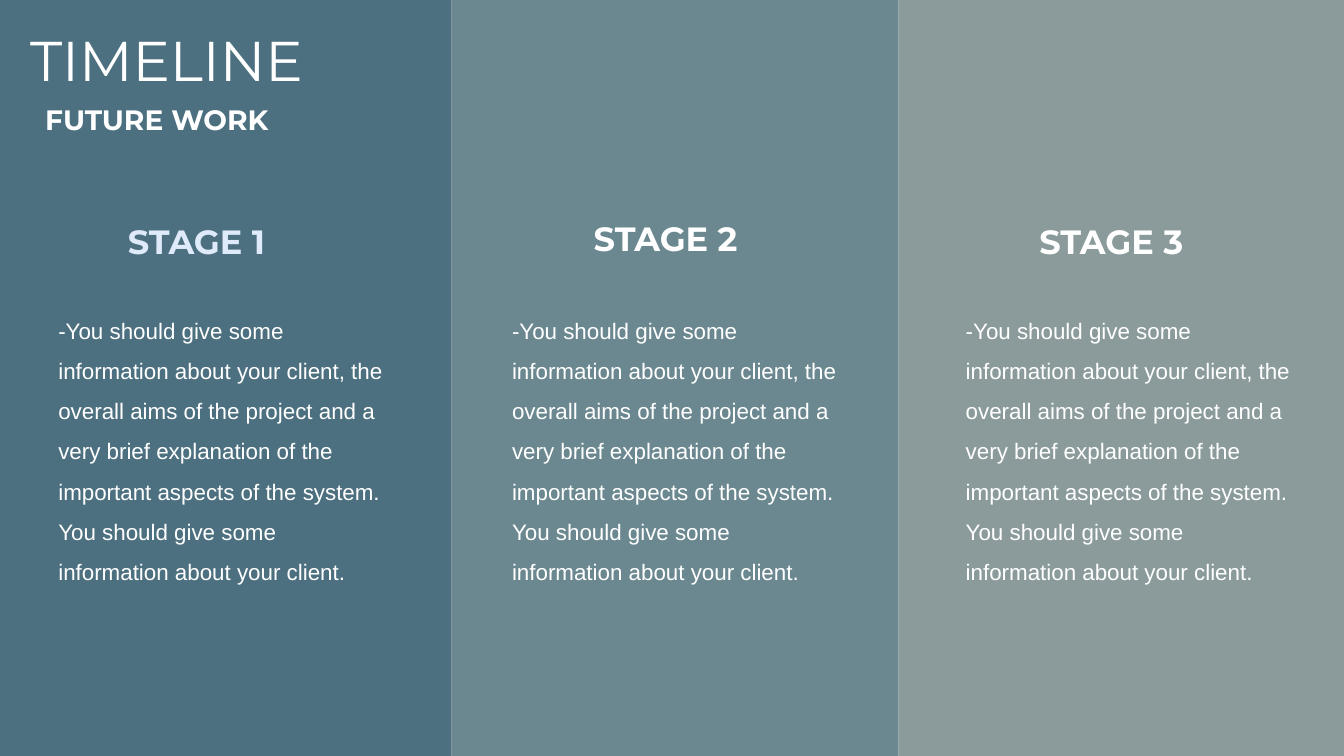
"""Build the timeline slide: three stage columns under a heading."""
import pptx
import pptx.dml.color
import pptx.enum.shapes
import pptx.enum.text
import pptx.oxml
import pptx.oxml.ns
import pptx.util

Inches = pptx.util.Inches
WIDTH, HEIGHT = 13.33, 7.5
WHITE = "FFFFFF"
BODY_STEP = 4.5
ADVICE = (
    "-You should give some information about your client, the overall aims of "
    "the project and a very brief explanation of the important aspects of the "
    "system. You should give some information about your client."
)


def paint(color_format, hex_color):
    color_format.rgb = pptx.dml.color.RGBColor.from_string(hex_color)


def write(text, left, top, width, height, size, font="Montserrat", bold=False,
          color=WHITE, spacing=None):
    frame = slide.shapes.add_textbox(
        Inches(left), Inches(top), Inches(width), Inches(height)).text_frame
    frame.word_wrap = True
    frame.auto_size = pptx.enum.text.MSO_AUTO_SIZE.SHAPE_TO_FIT_TEXT
    frame.text = text
    paragraph = frame.paragraphs[0]
    paragraph.line_spacing = spacing
    run = paragraph.runs[0]
    run.font.name = font
    run.font.size = pptx.util.Pt(size)
    run.font.bold = bold
    paint(run.font.color, color)


deck = pptx.Presentation()
deck.slide_width, deck.slide_height = Inches(WIDTH), Inches(HEIGHT)
slide = deck.slides.add_slide(deck.slide_layouts[6])

edges = [0, 4.48, 8.91, WIDTH]
stages = [
    ("STAGE 1", "4C707F", 100, "DFEAFA", 1.17, 2.14),
    ("STAGE 2", "6B8890", 100, WHITE, 5.79, 2.11),
    ("STAGE 3", "718484", 81, WHITE, 10.21, 2.14),
]

for index, (stage, fill, opacity, color, left, top) in enumerate(stages):
    column = slide.shapes.add_shape(
        pptx.enum.shapes.MSO_SHAPE.RECTANGLE, Inches(edges[index]), 0,
        Inches(edges[index + 1] - edges[index]), Inches(HEIGHT))
    column.shadow.inherit = False
    column.line.fill.background()
    column.fill.solid()
    paint(column.fill.fore_color, fill)
    if opacity < 100:
        fill_color = column.fill._xPr.find(".//" + pptx.oxml.ns.qn("a:srgbClr"))
        alpha = pptx.oxml.parse_xml(
            f'<a:alpha {pptx.oxml.ns.nsdecls("a")} val="{opacity * 1000}"/>')
        fill_color.append(alpha)

    write(stage, left, top, 2.06, 0.5, 24, bold=True, color=color)
    write(ADVICE, 0.48 + index * BODY_STEP, 2.96, 3.45, 3.73, 16,
          font="Arial", spacing=1.5)

write("TIMELINE", 0.2, 0.2, 3.28, 0.77, 40)
write("FUTURE WORK", 0.35, 0.97, 2.66, 0.44, 20, bold=True)

deck.save("out.pptx")
